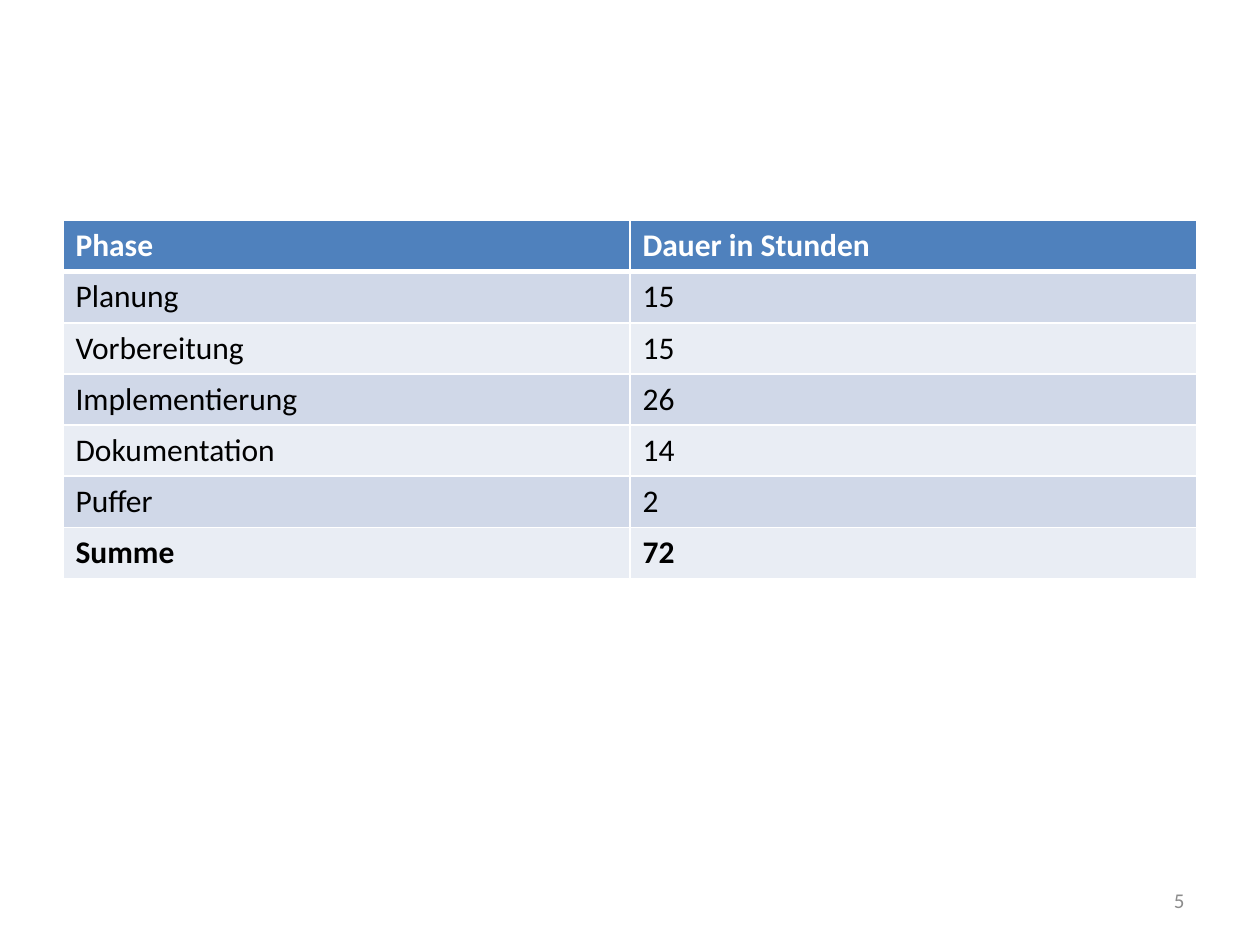
from dataclasses import dataclass

from lxml.etree import SubElement
from pptx import Presentation
from pptx.dml.color import RGBColor
from pptx.enum.text import MSO_ANCHOR, PP_ALIGN
from pptx.oxml.ns import qn
from pptx.util import Pt

PX = 9525  # EMU, 96 px to the inch


@dataclass(frozen=True)
class Theme:
    font: str = "Calibri"
    body: int = 18
    small: int = 12
    white: str = "FFFFFF"
    black: str = "000000"
    gray: str = "8C8C8C"
    head: str = "4F81BD"
    bands: tuple = ("D0D8E8", "E9EDF4")


theme = Theme()


def write(frame, text, size=theme.body, color=theme.black, bold=False, align=PP_ALIGN.LEFT):
    para = frame.paragraphs[0]
    para.alignment = align
    run = para.add_run()
    run.text = text
    font = run.font
    font.name, font.size, font.bold = theme.font, Pt(size), bold
    font.color.rgb = RGBColor.from_string(color)


def edge(cell, side, width):
    """Draw a white border on one side (L, R, T or B) of a cell."""
    line = SubElement(cell._tc.get_or_add_tcPr(), qn(f"a:ln{side}"), w=str(Pt(width)))
    fill = SubElement(line, qn("a:solidFill"))
    SubElement(fill, qn("a:srgbClr"), val=theme.white)


deck = Presentation()
deck.slide_width, deck.slide_height = 960 * PX, 720 * PX
slide = deck.slides.add_slide(deck.slide_layouts[6])

# Hours per phase
phases = [
    ("Phase", "Dauer in Stunden"),
    ("Planung", "15"),
    ("Vorbereitung", "15"),
    ("Implementierung", "26"),
    ("Dokumentation", "14"),
    ("Puffer", "2"),
    ("Summe", "72"),
]
row_h = 39
last = len(phases) - 1
table = slide.shapes.add_table(
    len(phases), 2, 48 * PX, 168 * PX, 864 * PX, row_h * len(phases) * PX
).table

for r, texts in enumerate(phases):
    table.rows[r].height = row_h * PX
    for c, text in enumerate(texts):
        cell = table.cell(r, c)
        # The rule under the header is thicker
        edge(cell, "L", 1)
        edge(cell, "R", 1)
        edge(cell, "T", 3 if r == 1 else 1)
        edge(cell, "B", 3 if r == 0 else 1)
        fill = theme.head if r == 0 else theme.bands[(r - 1) % 2]
        cell.fill.solid()
        cell.fill.fore_color.rgb = RGBColor.from_string(fill)
        write(cell.text_frame, text, bold=r in (0, last),
              color=theme.white if r == 0 else theme.black)

# Page number
page = slide.shapes.add_textbox(688 * PX, 667 * PX, 224 * PX, 38 * PX).text_frame
page.word_wrap = True
page.vertical_anchor = MSO_ANCHOR.MIDDLE
write(page, "5", size=theme.small, color=theme.gray, align=PP_ALIGN.RIGHT)

deck.save("out.pptx")
